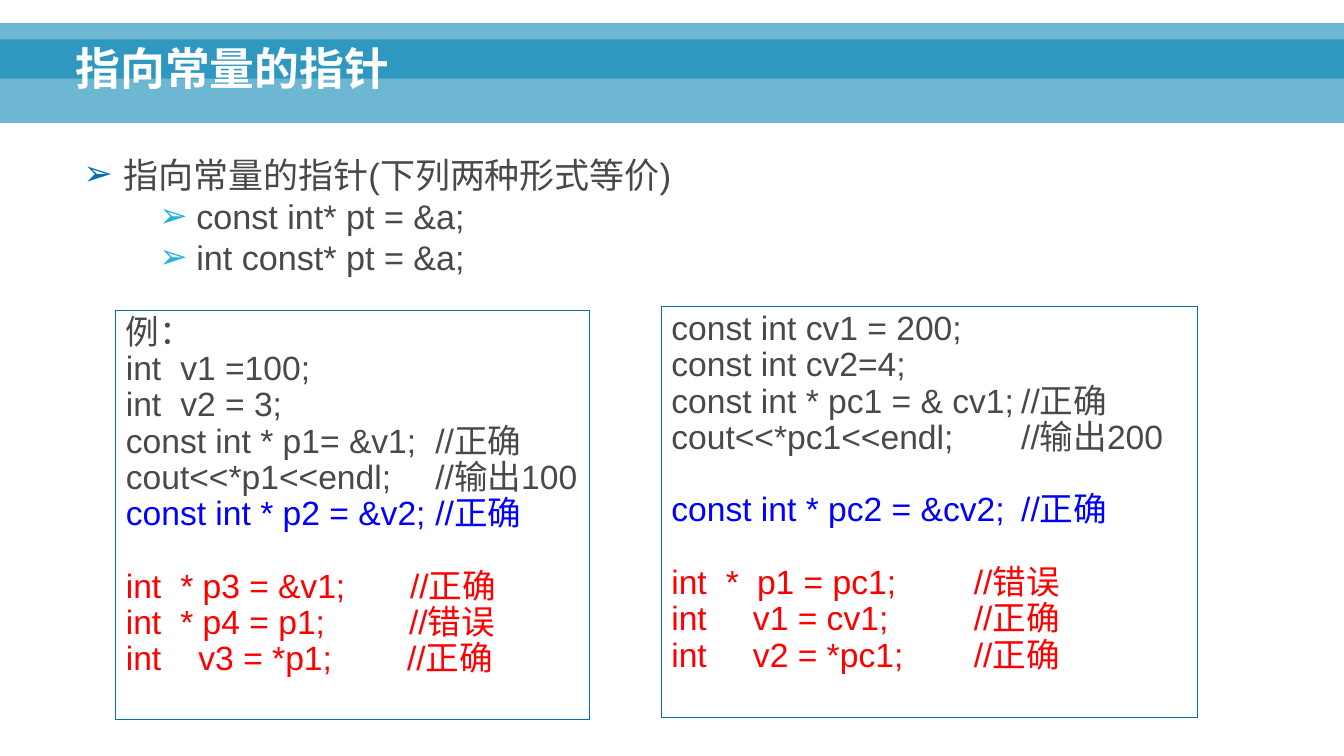
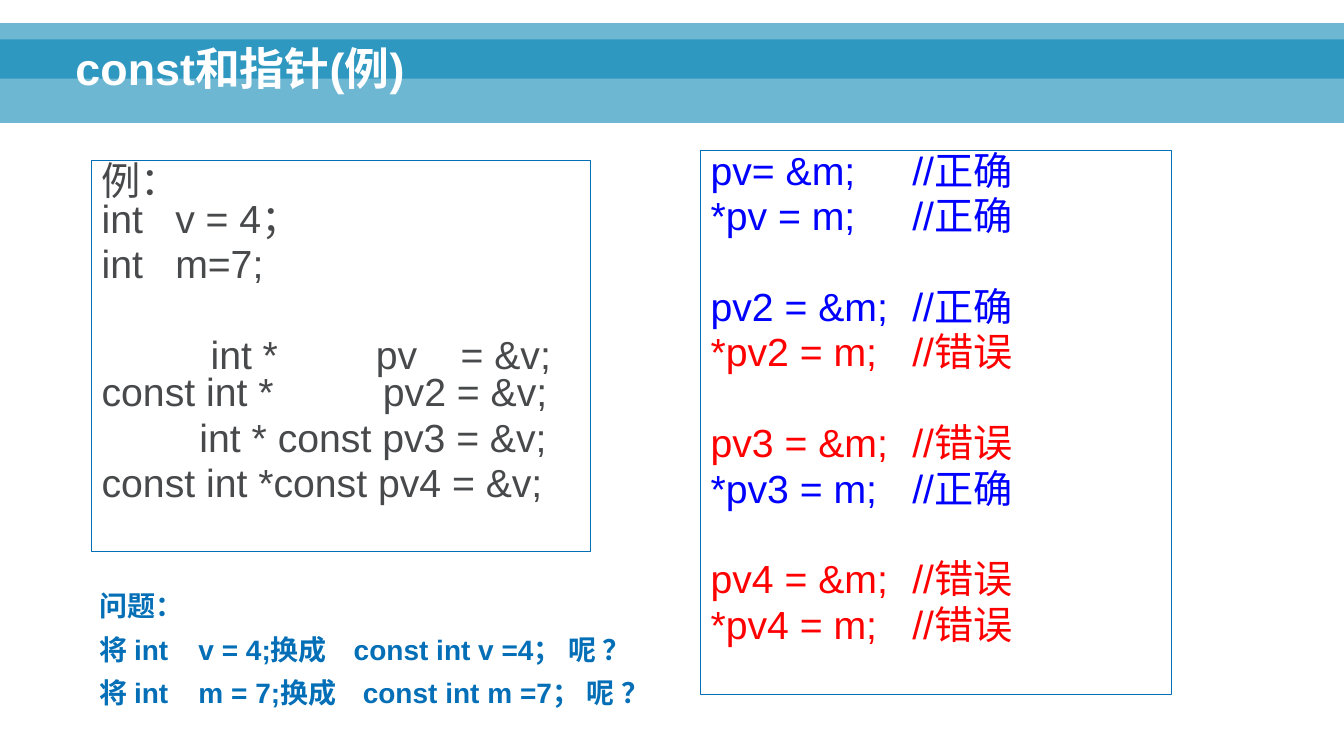
from lxml import etree
from pptx import Presentation
from pptx.dml.color import RGBColor
from pptx.enum.shapes import MSO_SHAPE
from pptx.enum.text import MSO_ANCHOR
from pptx.oxml.ns import qn
from pptx.util import Inches, Pt

RECT = MSO_SHAPE.RECTANGLE
TOP, BOTTOM = MSO_ANCHOR.TOP, MSO_ANCHOR.BOTTOM

THEME = {
    "font": "Arial",
    "band": "0082B3", "white": "FFFFFF", "text": "47494B",
    "edge": "046FB6", "light": "22B1DE", "blue": "0000FF", "red": "FF0000",
    "title": 32, "point": 25, "sub": 24.4, "code": 24, "large": 28, "ask": 20,
}
BANDS = [(0.39, 0.83), (0.23, 0.55)]


def tint(name):
    return RGBColor.from_string(THEME[name])


def put(slide, at, blocks, size, space=0.9, lead=0, bold=False, edge=False, anchor=TOP):
    box = slide.shapes.add_textbox(*map(Inches, at))
    if edge:
        box.line.color.rgb = tint("edge")
        box.line.width = Pt(0.75)
    frame = box.text_frame
    frame.word_wrap = True
    frame.vertical_anchor = anchor
    rows = [(ink, lead if i else gap, stops, line)
            for ink, gap, stops, lines in blocks
            for i, line in enumerate(lines)]
    for i, (ink, gap, stops, line) in enumerate(rows):
        para = frame.paragraphs[0] if i == 0 else frame.add_paragraph()
        para.text = line
        para.line_spacing = space
        para.space_before = Pt(gap)
        if stops:
            tabs = etree.SubElement(para._p.get_or_add_pPr(), qn("a:tabLst"))
            for stop in stops:
                etree.SubElement(tabs, qn("a:tab"), pos=str(Inches(stop)), algn="l")
        font = para.font
        font.name, font.size, font.bold = THEME["font"], Pt(THEME[size]), bold
        font.color.rgb = tint(ink)


deck = Presentation()
deck.slide_width, deck.slide_height = Inches(13.33), Inches(7.5)

slides = []
for title in ["指向常量的指针", "const和指针(例)"]:
    slide = deck.slides.add_slide(deck.slide_layouts[6])
    for top, height in BANDS:
        band = slide.shapes.add_shape(RECT, 0, Inches(top), deck.slide_width, Inches(height))
        band.shadow.inherit = False
        band.line.fill.background()
        band.fill.solid()
        band.fill.fore_color.rgb = tint("band")
        shade = band.fill._xPr.find(".//" + qn("a:srgbClr"))
        etree.SubElement(shade, qn("a:alpha"), val="57000")
    put(slide, (0.65, 0.12, 11.98, 0.87), [("white", 0, (), [title])],
        "title", bold=True, anchor=BOTTOM)
    slides.append(slide)
first, second = slides

POINTS = [
    ("指向常量的指针(下列两种形式等价)", 0, "point", "edge", 0.4, 0.4),
    ("const int* pt = &a;", 1, "sub", "light", 1.12, 0.37),
    ("int const* pt = &a;", 1, "sub", "light", 1.12, 0.37),
]
frame = first.shapes.add_textbox(*map(Inches, (0.73, 1.55, 9.66, 1.33))).text_frame
frame.word_wrap = True
for i, (line, level, size, ink, left, hang) in enumerate(POINTS):
    para = frame.paragraphs[0] if i == 0 else frame.add_paragraph()
    para.text, para.level, para.line_spacing = line, level, 0.8
    para.space_before = para.space_after = Pt(3)
    props = para._p.get_or_add_pPr()
    props.set("marL", str(Inches(left)))
    props.set("indent", str(-Inches(hang)))
    mark = etree.SubElement(props, qn("a:buClr"))
    etree.SubElement(mark, qn("a:srgbClr"), val=THEME[ink])
    etree.SubElement(props, qn("a:buFont"), typeface=THEME["font"])
    etree.SubElement(props, qn("a:buChar"), char="➢")
    para.font.name, para.font.size = THEME["font"], Pt(THEME[size])
    para.font.color.rgb = tint("text")

put(first, (1.15, 3.08, 4.7, 4.06), [
    ("text", 0, (0.54,), ["例：", "int\tv1 =100;", "int\tv2 = 3;"]),
    ("text", 0, (3.07,), ["const int * p1= &v1;\t//正确", "cout<<*p1<<endl;\t//输出100"]),
    ("blue", 0, (3.07,), ["const int * p2 = &v2;\t//正确"]),
    ("red", 26, (0.54, 1.51, 2.82), ["int\t* p3 =\t&v1;\t//正确"]),
    ("red", 0, (0.54, 2.81), ["int\t* p4 = p1;\t//错误"]),
    ("red", 0, (0.72, 2.79), ["int\tv3 = *p1;\t//正确"]),
], "code", edge=True)

put(first, (6.56, 3.04, 5.32, 4.08), [
    ("text", 0, (3.47,), ["const int cv1 = 200;", "const int cv2=4;",
                          "const int * pc1 = & cv1;\t//正确",
                          "cout<<*pc1<<endl;\t//输出200"]),
    ("blue", 26, (3.47,), ["const int * pc2 = &cv2;\t//正确"]),
    ("red", 26, (0.54, 0.85, 3), ["int\t*\tp1 = pc1;\t//错误"]),
    ("red", 0, (0.81, 3), ["int\tv1 = cv1;\t//正确", "int\tv2 = *pc1;\t//正确"]),
], "code", edge=True)

put(second, (0.91, 1.59, 4.95, 3.88), [
    ("text", 0, (), ["例："]),
    ("text", 0, (0.73,), ["int\tv = 4；", "int\tm=7;"]),
    ("text", 38, (1.08, 2.72, 3.56), ["\tint *\tpv\t= &v;"]),
    ("text", 0, (2.79,), ["const int *\tpv2 = &v;"]),
    ("text", 5.5, (0.97,), ["\tint * const pv3 = &v;", "const int *const pv4 = &v;"]),
], "large", space=0.8, lead=5.5, edge=True)

put(second, (6.95, 1.49, 4.67, 5.4), [
    ("blue", 0, (2,), ["pv= &m;\t//正确", "*pv = m;\t//正确"]),
    ("blue", 38, (2,), ["pv2 = &m;\t//正确"]),
    ("red", 5.5, (2,), ["*pv2 = m;\t//错误"]),
    ("red", 38, (2,), ["pv3 = &m;\t//错误"]),
    ("blue", 5.5, (2,), ["*pv3 = m;\t//正确"]),
    ("red", 38, (2,), ["pv4 = &m;\t//错误", "*pv4 = m;\t//错误"]),
], "large", space=0.8, lead=5.5, edge=True)

put(second, (0.89, 5.69, 5.9, 1.4), [
    ("edge", 0, (), ["问题："]),
    ("edge", 0, (0.98, 2.52), ["将 int\tv = 4;换成\tconst int v =4； 呢 ？"]),
    ("edge", 0, (0.98, 2.61), ["将 int\tm = 7;换成\tconst int m =7； 呢 ？"]),
], "ask", space=1.3, bold=True)

deck.save("out.pptx")
